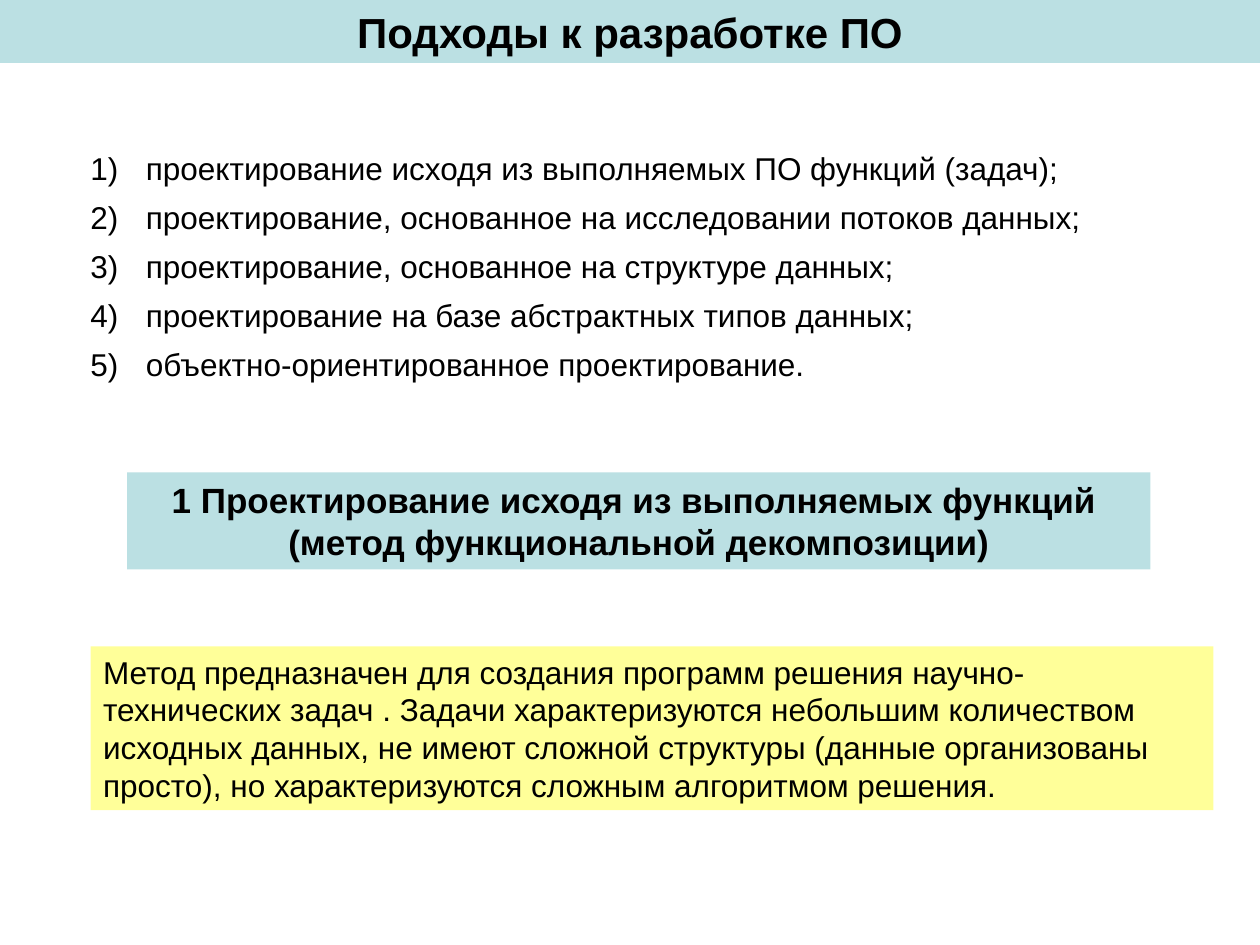
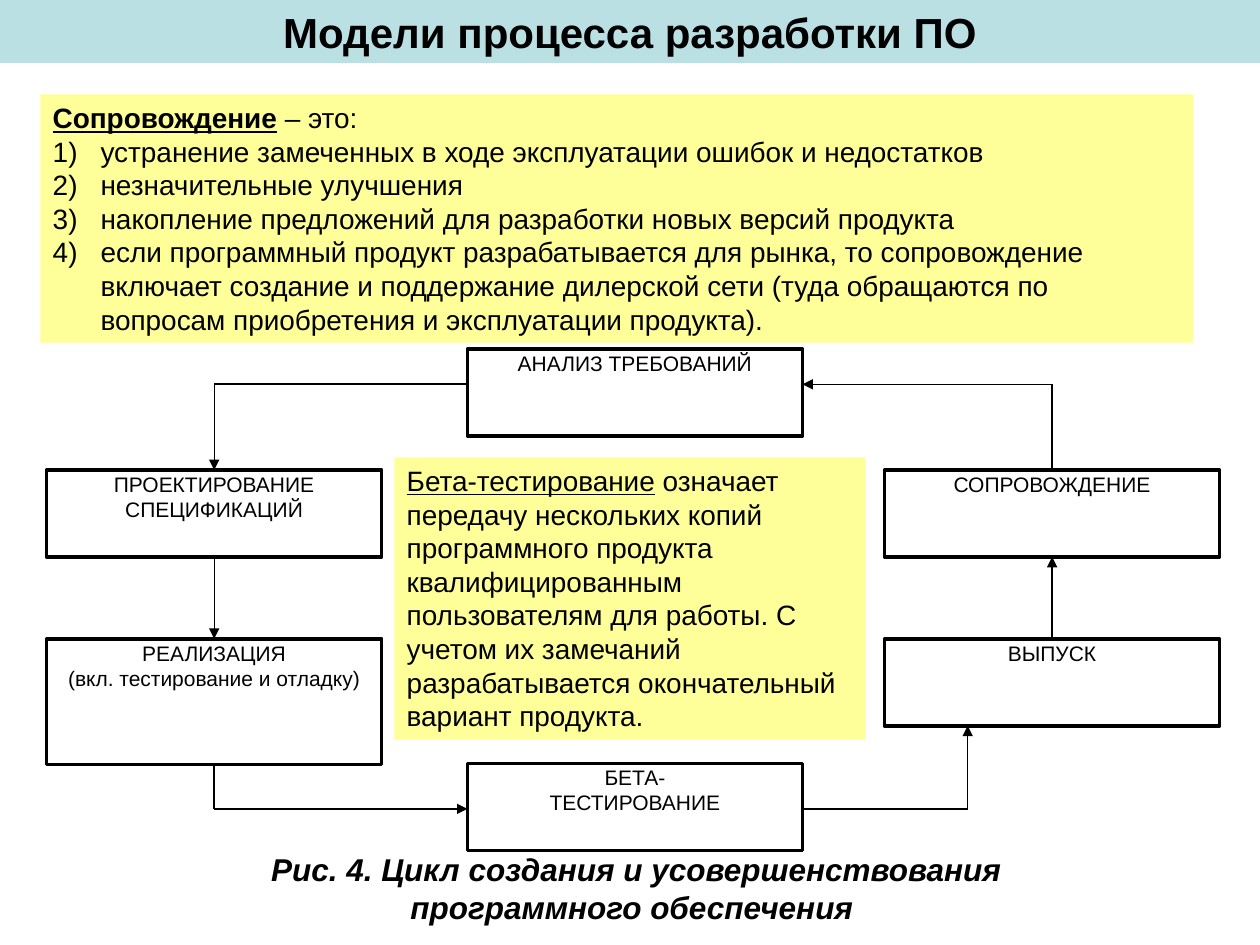
from pptx import Presentation
from pptx.dml.color import RGBColor
from pptx.enum.shapes import MSO_CONNECTOR, MSO_SHAPE
from pptx.enum.text import MSO_ANCHOR, MSO_AUTO_SIZE, PP_ALIGN
from pptx.oxml.ns import qn
from pptx.util import Inches, Pt
from lxml import etree

RECT = MSO_SHAPE.RECTANGLE
STRAIGHT = MSO_CONNECTOR.STRAIGHT
LEFT, CENTER = PP_ALIGN.LEFT, PP_ALIGN.CENTER

FONT = "Arial"
BLACK, WHITE, BAND, NOTE = "000000", "FFFFFF", "BBE0E3", "FFFF99"


def color(hex_text):
    return RGBColor.from_string(hex_text)


# Text helpers
def setup_frame(tf, margins=(0.1, 0.05)):
    tf.word_wrap = True
    tf.auto_size = MSO_AUTO_SIZE.NONE
    tf.vertical_anchor = MSO_ANCHOR.TOP
    tf.margin_left = tf.margin_right = Inches(margins[0])
    tf.margin_top = tf.margin_bottom = Inches(margins[1])


def number_paragraph(p, indent, hanging):
    pPr = p._p.get_or_add_pPr()
    pPr.set("marL", str(Inches(indent)))
    pPr.set("indent", str(-Inches(hanging)))
    etree.SubElement(pPr, qn("a:buFont")).set("typeface", FONT)
    etree.SubElement(pPr, qn("a:buAutoNum")).set("type", "arabicParenR")


def write(tf, paragraphs, size, align=LEFT, indent=None, first_number=0,
          spacing=None):
    """Each paragraph is a list of (text, style) runs; style holds b, i, u."""
    for n, runs in enumerate(paragraphs):
        p = tf.paragraphs[0] if n == 0 else tf.add_paragraph()
        if indent and n >= first_number:
            number_paragraph(p, indent, indent)
        p.alignment = align
        if spacing:
            p.line_spacing = spacing
        for text, style in runs:
            r = p.add_run()
            r.text = text
            r.font.name, r.font.size = FONT, Pt(size)
            r.font.color.rgb = color(BLACK)
            r.font.bold = "b" in style
            r.font.italic = "i" in style
            r.font.underline = "u" in style


def lines(*texts, style=""):
    return [[(text, style)] for text in texts]


# Shape helpers
def add_text(slide, box, paragraphs, size, **options):
    sp = slide.shapes.add_textbox(*map(Inches, box))
    setup_frame(sp.text_frame)
    write(sp.text_frame, paragraphs, size, **options)


def add_panel(slide, box, fill, paragraphs, size, border=None,
              margins=(0.1, 0.05), **options):
    sp = slide.shapes.add_shape(RECT, *map(Inches, box))
    sp.shadow.inherit = False
    sp.fill.solid()
    sp.fill.fore_color.rgb = color(fill)
    if border:
        sp.line.color.rgb = color(BLACK)
        sp.line.width = Pt(border)
    else:
        sp.line.fill.background()
    setup_frame(sp.text_frame, margins)
    write(sp.text_frame, paragraphs, size, **options)


def add_line(slide, start, end, arrow=False):
    c = slide.shapes.add_connector(STRAIGHT, *map(Inches, start + end))
    c.line.color.rgb = color(BLACK)
    c.line.width = Pt(0.75 if arrow else 1)
    if arrow:
        ln = c.line._get_or_add_ln()
        etree.SubElement(ln, qn("a:tailEnd")).set("type", "triangle")
    etree.SubElement(c._element.spPr, qn("a:effectLst"))


def add_titled_slide(prs, text):
    slide = prs.slides.add_slide(prs.slide_layouts[5])
    title = slide.shapes.title
    title.left, title.top = 0, 0
    title.width, title.height = prs.slide_width, Inches(0.5)
    title.fill.solid()
    title.fill.fore_color.rgb = color(BAND)
    setup_frame(title.text_frame)
    write(title.text_frame, lines(text, style="b"), 24, CENTER)
    return slide


# Slide 1: approaches
def approaches_slide(prs):
    slide = add_titled_slide(prs, "Подходы к разработке ПО")
    add_text(slide, (0.62, 1.04, 8.96, 2.05), lines(
        "проектирование исходя из выполняемых ПО функций (задач);",
        "проектирование, основанное на исследовании потоков данных;",
        "проектирование, основанное на структуре данных;",
        "проектирование на базе абстрактных типов данных;",
        "объектно-ориентированное проектирование."),
        18, indent=0.44, spacing=1.3)
    add_panel(slide, (1.01, 3.75, 8.12, 0.77), BAND, lines(
        "1 Проектирование исходя из выполняемых функций ",
        "(метод функциональной декомпозиции)", style="b"), 20, align=CENTER)
    add_panel(slide, (0.72, 5.13, 8.91, 1.3), NOTE, lines(
        "Метод предназначен для создания программ решения "
        "научно-технических задач . Задачи характеризуются небольшим "
        "количеством исходных данных, не имеют сложной структуры (данные "
        "организованы просто), но характеризуются сложным алгоритмом "
        "решения."), 18)


# Development cycle: stages and the arrows between them
def development_cycle(slide, left, top):
    stage_w, stage_h = 2.66, 0.69
    column = [0, 3.34, 6.65]
    row = [0, 0.96, 2.3, 3.29]
    stages = [
        (1, 0, stage_h, ["АНАЛИЗ ТРЕБОВАНИЙ"]),
        (0, 1, stage_h, ["ПРОЕКТИРОВАНИЕ", "СПЕЦИФИКАЦИЙ"]),
        (2, 1, stage_h, ["СОПРОВОЖДЕНИЕ"]),
        (0, 2, 1, ["РЕАЛИЗАЦИЯ", "(вкл. тестирование и отладку)"]),
        (2, 2, stage_h, ["ВЫПУСК"]),
        (1, 3, stage_h, ["БЕТА-", "ТЕСТИРОВАНИЕ"]),
    ]
    for c, r, height, texts in stages:
        add_panel(slide, (left + column[c], top + row[r], stage_w, height),
                  WHITE, lines(*texts), 12, border=2, margins=(0.01, 0.01),
                  align=CENTER)

    left_x, right_x = 1.33, column[2] + stage_w / 2
    release_x = 7.31
    mid_left, mid_right = column[1], column[1] + stage_w
    top_y, bottom_y = 0.28, 3.65
    routes = [
        [(mid_left, top_y), (left_x, top_y), (left_x, row[1])],
        [(left_x, row[1] + stage_h), (left_x, row[2])],
        [(left_x, row[2] + 1), (left_x, bottom_y), (mid_left, bottom_y)],
        [(mid_right, bottom_y), (release_x, bottom_y),
         (release_x, row[2] + stage_h)],
        [(right_x, row[2]), (right_x, row[1] + stage_h)],
        [(right_x, row[1]), (right_x, top_y), (mid_right, top_y)],
    ]
    for route in routes:
        points = [(left + x, top + y) for x, y in route]
        for start, end in zip(points, points[1:]):
            add_line(slide, start, end, arrow=end == points[-1])


# Slide 2: process models
def process_slide(prs):
    slide = add_titled_slide(prs, "Модели процесса разработки ПО")
    support = [[("Сопровождение", "bu"), (" – это:", "")]] + lines(
        "устранение замеченных в ходе эксплуатации ошибок и недостатков",
        "незначительные улучшения",
        "накопление предложений для разработки новых версий продукта",
        "если программный продукт разрабатывается для рынка, то "
        "сопровождение включает создание и поддержание дилерской сети (туда "
        "обращаются по вопросам приобретения и эксплуатации продукта).")
    add_panel(slide, (0.32, 0.75, 9.15, 1.97), NOTE, support, 16,
              indent=0.38, first_number=1)
    development_cycle(slide, 0.37, 2.77)
    add_text(slide, (1.16, 6.7, 7.78, 0.7), lines(
        "Рис. 4. Цикл создания и усовершенствования программного "
        "обеспечения ", style="bi"), 18, align=CENTER)
    add_panel(slide, (3.13, 3.63, 3.74, 2.24), NOTE, [[
        ("Бета-тестирование", "u"),
        (" означает передачу нескольких копий программного продукта "
         "квалифицированным пользователям для работы. С учетом их замечаний "
         "разрабатывается окончательный вариант продукта.", "")]], 16)


def main():
    prs = Presentation()
    prs.slide_width, prs.slide_height = Inches(10), Inches(7.5)
    approaches_slide(prs)
    process_slide(prs)
    prs.save("out.pptx")


if __name__ == "__main__":
    main()
